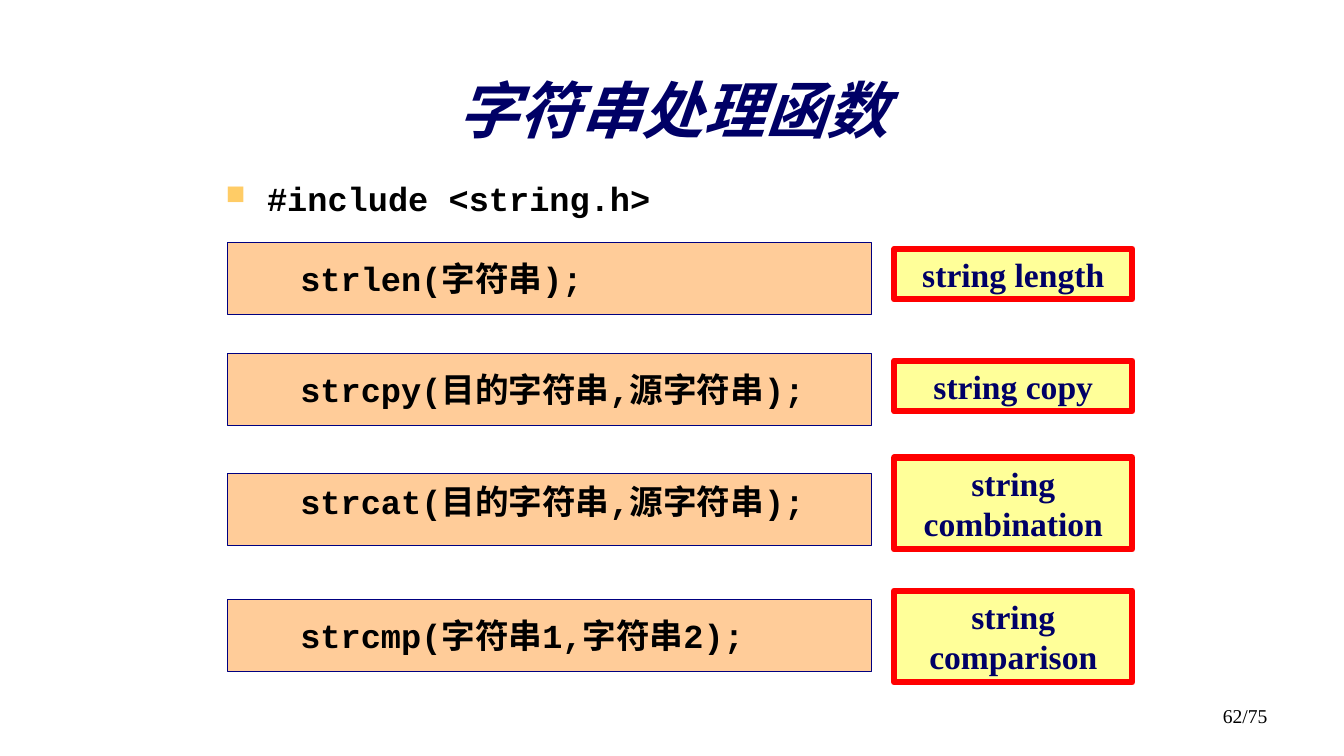
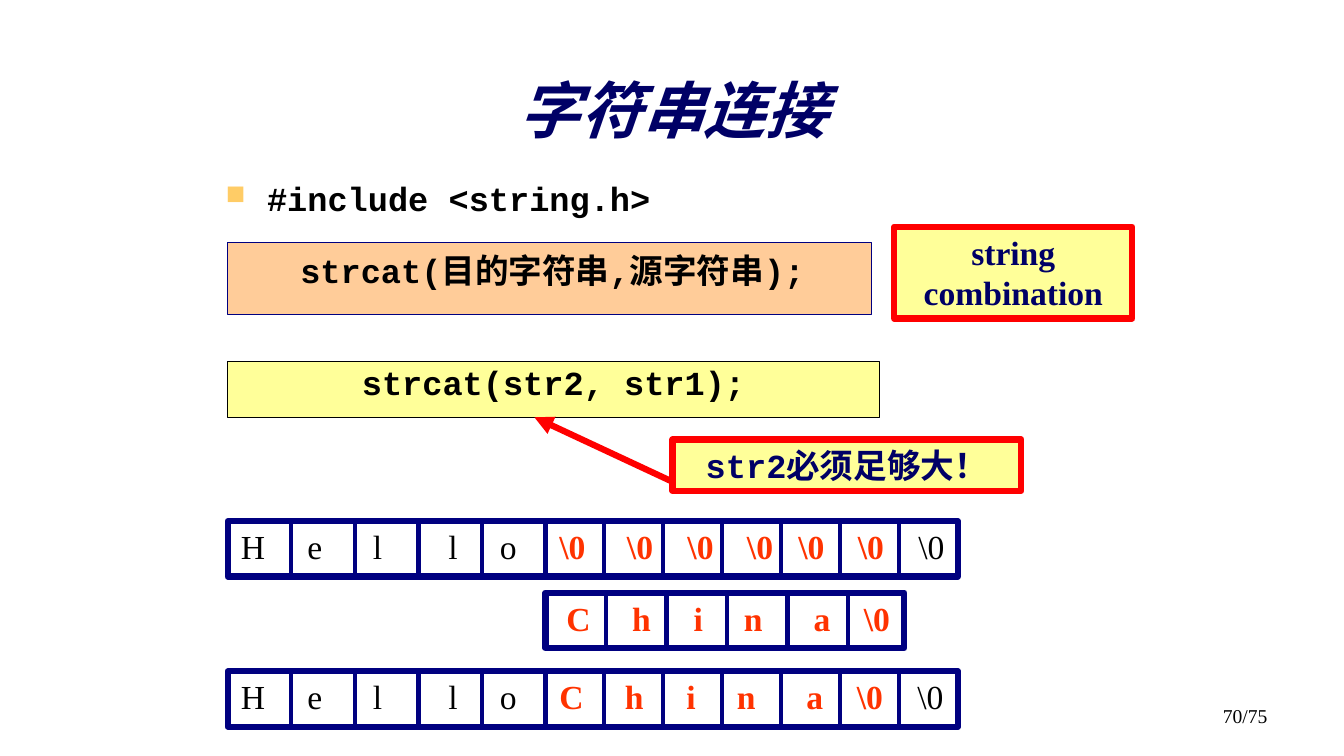
import pptx
import pptx.dml.color
import pptx.enum.shapes
import pptx.enum.text
import pptx.oxml
import pptx.oxml.ns
import pptx.util

Inches = pptx.util.Inches
Pt = pptx.util.Pt
qn = pptx.oxml.ns.qn
PP_ALIGN = pptx.enum.text.PP_ALIGN
ANCHOR = pptx.enum.text.MSO_ANCHOR
RECT = pptx.enum.shapes.MSO_SHAPE.RECTANGLE
STRAIGHT = pptx.enum.shapes.MSO_CONNECTOR.STRAIGHT

SERIF, MONO = "Times New Roman", "Courier New"
COLORS = {
    "black": "000000", "title": "000066", "navy": "000080", "red": "FF0000",
    "orange": "FF3300", "bullet": "FFCC66", "code": "FFCC99", "yellow": "FFFF99",
}


def rgb(name):
    return pptx.dml.color.RGBColor.from_string(COLORS[name])


def xml(tag, body="", **attrs):
    """Build one element of the drawing namespace."""
    text = "".join(f' {key}="{value}"' for key, value in attrs.items())
    return pptx.oxml.parse_xml(
        f'<a:{tag} {pptx.oxml.ns.nsdecls("a")}{text}>{body}</a:{tag}>')


class Deck:
    def __init__(self):
        self.prs = pptx.Presentation()
        self.prs.slide_width = Inches(13.33)
        self.prs.slide_height = Inches(7.5)
        self.slide = None

    def font(self, r, size=24, face=SERIF, color="black", bold=True, italic=False):
        r.font.size = Pt(size)
        r.font.name = face
        r.font.bold = bold
        r.font.italic = italic
        r.font.color.rgb = rgb(color)

    def new_slide(self, title, page):
        self.slide = self.prs.slides.add_slide(self.prs.slide_layouts[5])
        sp = self.slide.shapes.title
        sp.left, sp.top = Inches(0.99), Inches(0.68)
        sp.width, sp.height = Inches(11.37), Inches(0.92)
        tf = sp.text_frame
        tf.text = title
        tf.vertical_anchor = ANCHOR.MIDDLE
        p = tf.paragraphs[0]
        p.alignment = PP_ALIGN.CENTER
        p.line_spacing = 0.85
        r = p.runs[0]
        self.font(r, 44, color="title", italic=True)
        shadow = xml("effectLst", '<a:outerShdw dist="35921" dir="2700000">'
                     '<a:srgbClr val="000000"/></a:outerShdw>')
        r.font._element.find(qn("a:solidFill")).addnext(shadow)

        p = self.text(9.56, 6.93, 3.11, 0.52, page)
        p.alignment = PP_ALIGN.RIGHT
        self.font(p.runs[0], 14, bold=False)

    def text(self, x, y, w, h, text=""):
        """Add a wrapping text box and return its first paragraph."""
        tf = self.slide.shapes.add_textbox(
            Inches(x), Inches(y), Inches(w), Inches(h)).text_frame
        tf.word_wrap = True
        tf.text = text
        return tf.paragraphs[0]

    def bullet(self, text):
        p = self.text(2.14, 1.7, 9.25, 0.63, text)
        pPr = p._p.get_or_add_pPr()
        pPr.set("marL", str(Inches(0.41)))
        pPr.set("indent", str(-Inches(0.41)))
        pPr.append(xml("buClr", f'<a:srgbClr val="{COLORS["bullet"]}"/>'))
        pPr.append(xml("buSzPct", val=80000))
        pPr.append(xml("buChar", char="■"))
        p.line_spacing = 1.05
        self.font(p.runs[0], face=MONO)

    def box(self, x, y, w, h, fill, line, width):
        sp = self.slide.shapes.add_shape(
            RECT, Inches(x), Inches(y), Inches(w), Inches(h))
        sp.shadow.inherit = False
        if fill:
            sp.fill.solid()
            sp.fill.fore_color.rgb = rgb(fill)
        else:
            sp.fill.background()
        sp.line.color.rgb = rgb(line)
        sp.line.width = Pt(width)
        tf = sp.text_frame
        tf.word_wrap = True
        tf.vertical_anchor = ANCHOR.TOP
        return tf

    def prototype(self, y, text, spacing=1.25):
        """Add a function signature in an orange bar."""
        tf = self.box(2.26, y, 6.38, 0.71, "code", "navy", 0.75)
        tf.text = text
        p = tf.paragraphs[0]
        pPr = p._p.get_or_add_pPr()
        pPr.set("marL", str(Inches(0.93)))
        pPr.set("indent", str(-Inches(0.31)))
        p.alignment = PP_ALIGN.LEFT
        p.line_spacing = spacing
        self.font(p.runs[0], face=MONO)

    def call(self, y, text):
        """Add a sample function call in a yellow bar."""
        tf = self.box(2.26, y, 6.46, 0.55, "yellow", "black", 0.75)
        tf.text = text
        p = tf.paragraphs[0]
        p.alignment = PP_ALIGN.CENTER
        p.line_spacing = 0.9
        self.font(p.runs[0], face=MONO)

    def callout(self, y, runs, x=8.87, w=2.36, h=0.5):
        """Add a red-framed note; runs are (text, face) pairs."""
        tf = self.box(x, y, w, h, "yellow", "red", 4.5)
        tf.auto_size = pptx.enum.text.MSO_AUTO_SIZE.SHAPE_TO_FIT_TEXT
        p = tf.paragraphs[0]
        p.alignment = PP_ALIGN.CENTER
        for text, face in runs:
            r = p.add_run()
            r.text = text
            self.font(r, face=face, color="title")

    def line(self, x1, y1, x2, y2, color, width, arrow=False):
        c = self.slide.shapes.add_connector(
            STRAIGHT, Inches(x1), Inches(y1), Inches(x2), Inches(y2))
        c.line.color.rgb = rgb(color)
        c.line.width = Pt(width)
        spPr = c._element.spPr
        if arrow:
            spPr.find(qn("a:ln")).append(xml("tailEnd", type="triangle"))
        spPr.append(xml("effectLst"))

    def memory(self, y, edges, text_x, runs, tabs):
        """Draw a character array; runs are (text, changed) pairs split by tabs."""
        x, right, h = edges[0], edges[-1], 0.55
        self.box(x, y, right - x, h, None, "navy", 4.5)
        for edge in edges[1:-1]:
            self.line(edge, y, edge, y + h, "navy", 3)
        p = self.text(text_x, y, right - text_x + 0.16, 0.5)
        stops = "".join(f'<a:tab pos="{Inches(t)}" algn="l"/>' for t in tabs)
        p._p.get_or_add_pPr().append(xml("tabLst", stops))
        for text, changed in runs:
            r = p.add_run()
            r.text = text
            self.font(r, color="orange" if changed else "black", bold=changed)


def functions_slide(deck):
    deck.new_slide("字符串处理函数", "62/75")
    deck.bullet("#include <string.h>")
    rows = [
        (2.41, "strlen(字符串);", 1.25, 2.47, 0.5, "string length"),
        (3.51, "strcpy(目的字符串,源字符串);", 1.25, 3.58, 0.5, "string copy"),
        (4.7, "strcat(目的字符串,源字符串);", 1.05, 4.54, 0.91, "string combination"),
        (5.95, "strcmp(字符串1,字符串2);", 1.25, 5.86, 0.91, "string comparison"),
    ]
    for y, code, spacing, note_y, note_h, note in rows:
        deck.prototype(y, code, spacing)
        deck.callout(note_y, [(note, SERIF)], h=note_h)


def concatenation_slide(deck):
    deck.new_slide("字符串连接", "70/75")
    deck.bullet("#include <string.h>")
    deck.prototype(2.41, "strcat(目的字符串,源字符串);", 1.05)
    deck.callout(2.25, [("string combination", SERIF)], h=0.91)
    deck.call(3.59, "strcat(str2, str1);")
    deck.line(6.65, 4.77, 5.3, 4.14, "red", 4.5, arrow=True)
    deck.callout(4.36, [("str2", MONO), ("必须足够大！", SERIF)], x=6.67, w=3.46, h=0.51)

    start, join, end = 2.26, 5.41, 9.5
    long_edges = [start + 0.63 * i for i in range(5)]
    long_edges += [join + (end - join) / 7 * i for i in range(8)]
    short_edges = [join + 0.6 * i for i in range(6)] + [8.97]
    hello_tabs = [0.66, 1.31, 2.06, 2.57, 3.16]
    null_tabs = [3.83, 4.43, 5.02, 5.53, 6.12, 6.72]
    china_tabs = [3.81, 4.42, 4.92, 5.61, 6.11, 6.71]
    hello = ("H\te\tl\tl\to\t", False)
    nulls = ("\t".join(["\\0"] * 6), True)
    china = ("C\th\ti\tn\ta\t\\0", True)
    last = ("\t\\0", False)

    deck.memory(5.17, long_edges, 2.29, [hello, nulls, last], hello_tabs + null_tabs)
    deck.memory(5.88, short_edges, 5.52, [china],
                [t - hello_tabs[-1] for t in china_tabs[:-1]])
    deck.memory(6.66, long_edges, 2.29, [hello, china, last], hello_tabs + china_tabs)


def main():
    deck = Deck()
    functions_slide(deck)
    concatenation_slide(deck)
    deck.prs.save("out.pptx")


if __name__ == "__main__":
    main()
